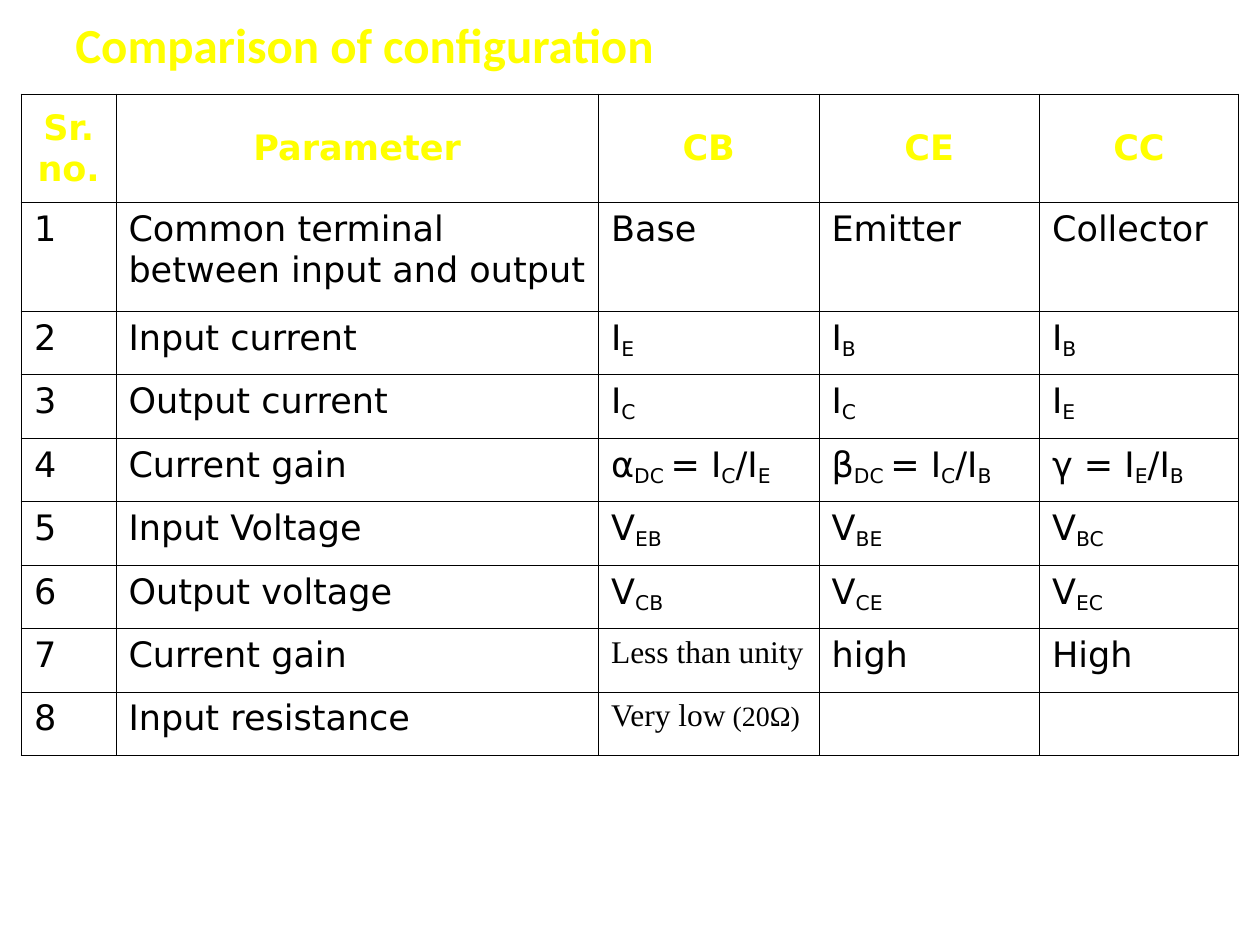
from dataclasses import dataclass
from lxml.etree import SubElement
from pptx import Presentation
from pptx.dml.color import RGBColor
from pptx.enum.text import MSO_ANCHOR, PP_ALIGN
from pptx.oxml.ns import qn
from pptx.util import Inches, Pt


@dataclass(frozen=True)
class Theme:
    gold: str = "FFFF00"
    ink: str = "000000"
    head: str = "Calibri"
    sans: str = "DejaVu Sans"
    serif: str = "Times New Roman"
    title: int = 28
    body: int = 20
    note: int = 18
    small: int = 16
    thin: float = 0.45
    thick: float = 1.08


T = Theme()

COLS = [0.75, 3.83, 1.75, 1.75, 1.58]
TALL, HEIGHT = 0.86, 5.25

# A bar switches between normal text and subscript
ROWS = [
    ["Sr.no.", "Parameter", "CB", "CE", "CC"],
    ["1", "Common terminal between input and output",
     "Base", "Emitter", "Collector"],
    ["2", "Input current", "I|E", "I|B", "I|B"],
    ["3", "Output current", "I|C", "I|C", "I|E"],
    ["4", "Current gain", "α|DC |= I|C|/I|E", "β|DC |= I|C|/I|B",
     "γ = I|E|/I|B"],
    ["5", "Input Voltage", "V|EB", "V|BE", "V|BC"],
    ["6", "Output voltage", "V|CB", "V|CE", "V|EC"],
    ["7", "Current gain", [("Less than unity", T.note)], "high", "High"],
    ["8", "Input resistance",
     [("Very low", T.note), (" (20Ω)", T.small)], "", ""],
]


def add_run(para, text, face, size, color, bold=False, sub=False):
    run = para.add_run()
    run.text = text
    font = run.font
    font.name, font.size, font.bold = face, Pt(size), bold
    font.color.rgb = RGBColor.from_string(color)
    if sub:
        run._r.get_or_add_rPr().set("baseline", "-18000")


def add_title(slide, text):
    box = slide.shapes.add_textbox(
        Inches(0.5), Inches(0.08), Inches(9), Inches(0.53))
    frame = box.text_frame
    frame.word_wrap = True
    frame.vertical_anchor = MSO_ANCHOR.MIDDLE
    add_run(frame.paragraphs[0], text, T.head, T.title, T.gold, bold=True)


def set_edges(cell, widths):
    props = cell._tc.get_or_add_tcPr()
    for side, width in zip("LRTB", widths):
        line = SubElement(props, qn(f"a:ln{side}"), w=str(Pt(width)))
        fill = SubElement(line, qn("a:solidFill"))
        SubElement(fill, qn("a:srgbClr"), val=T.ink)


def fill_cell(cell, content, head):
    para = cell.text_frame.paragraphs[0]
    if head:
        cell.vertical_anchor = MSO_ANCHOR.MIDDLE
        para.alignment = PP_ALIGN.CENTER
    if isinstance(content, list):
        for text, size in content:
            add_run(para, text, T.serif, size, T.ink)
    elif content:
        color = T.gold if head else T.ink
        for i, text in enumerate(content.split("|")):
            add_run(para, text, T.sans, T.body, color, head, i % 2 == 1)


def add_grid(slide):
    rows, cols = len(ROWS), len(COLS)
    table = slide.shapes.add_table(
        rows, cols, Inches(0.17), Inches(0.75),
        Inches(sum(COLS)), Inches(HEIGHT)).table
    table.first_row = table.horz_banding = False
    for col, width in zip(table.columns, COLS):
        col.width = Inches(width)

    # Two tall rows, the rest share what is left
    short = (HEIGHT - 2 * TALL) / (rows - 2)
    for r, line in enumerate(ROWS):
        table.rows[r].height = Inches(TALL if r < 2 else short)
        for c, content in enumerate(line):
            cell = table.cell(r, c)
            fill_cell(cell, content, head=r == 0)
            # Outer edges are thicker than inner ones
            outer = (c == 0, c == cols - 1, r == 0, r == rows - 1)
            set_edges(cell, [T.thick if o else T.thin for o in outer])
            cell.fill.background()


def main():
    deck = Presentation()
    deck.slide_width, deck.slide_height = Inches(10), Inches(7.5)
    slide = deck.slides.add_slide(deck.slide_layouts[6])
    add_title(slide, "Comparison of configuration")
    add_grid(slide)
    deck.save("out.pptx")


if __name__ == "__main__":
    main()
